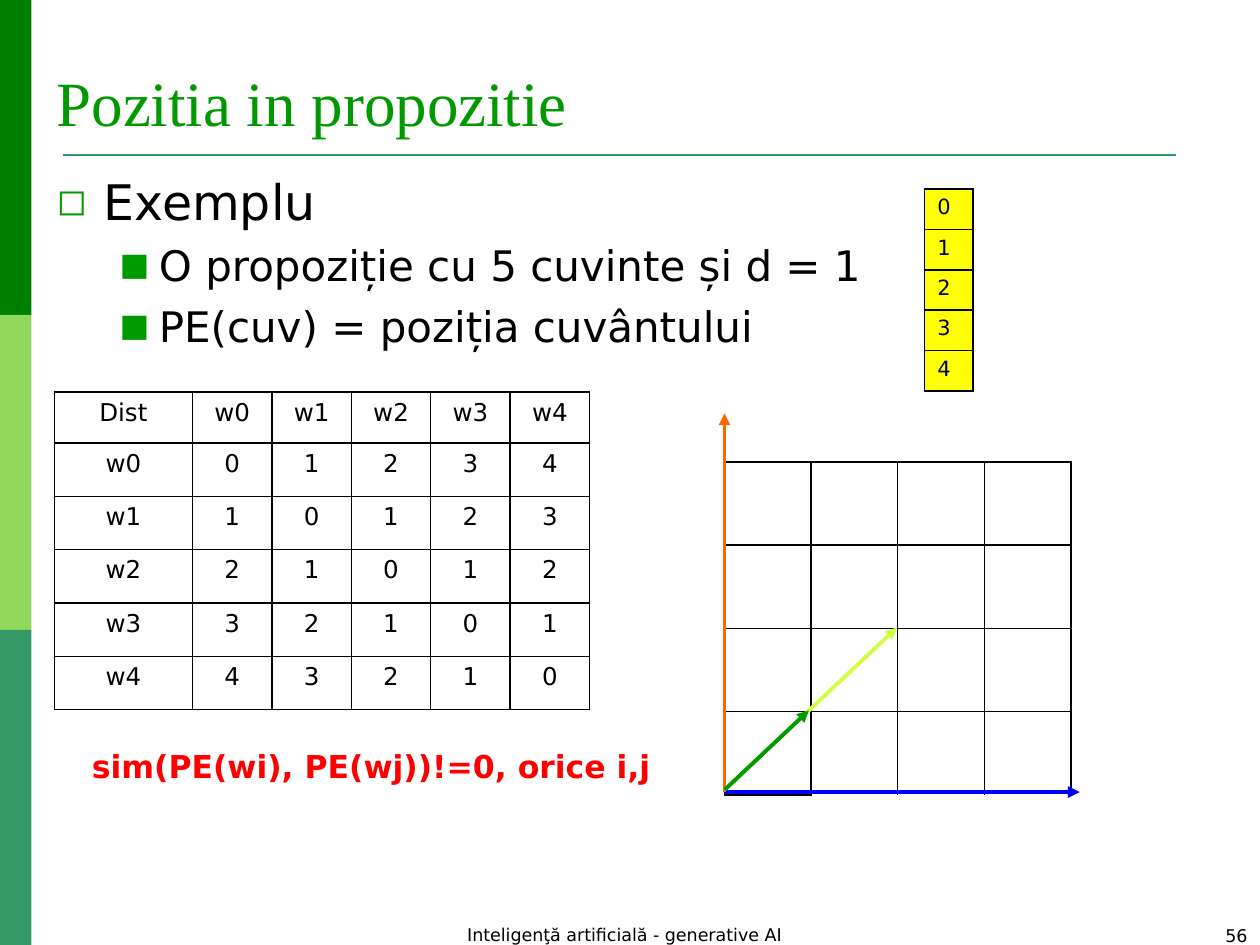
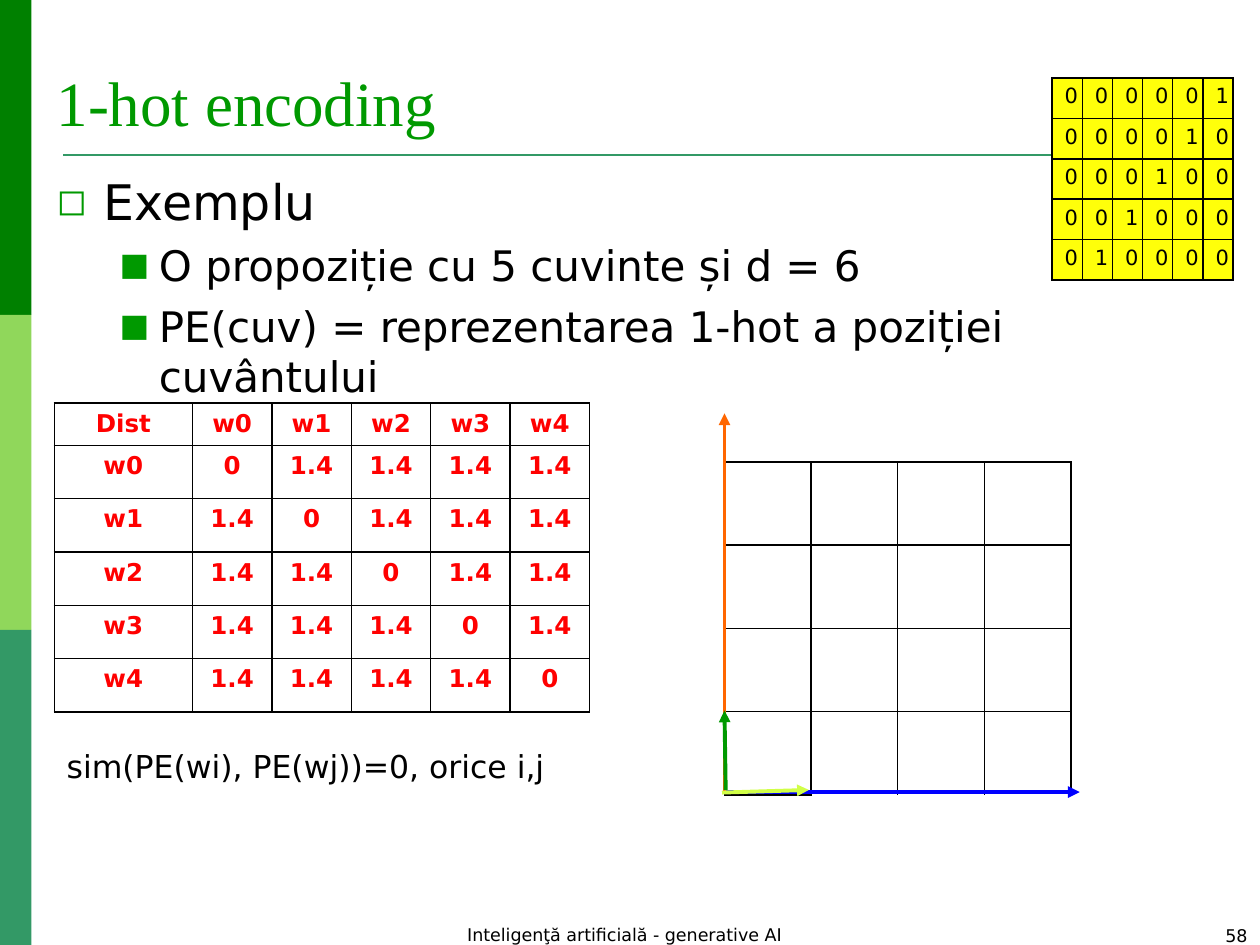
from dataclasses import dataclass
from typing import Any, Callable, Optional

from lxml.etree import SubElement
from pptx import Presentation
from pptx.dml.color import RGBColor
from pptx.enum.shapes import MSO_CONNECTOR, MSO_SHAPE
from pptx.enum.text import MSO_ANCHOR, PP_ALIGN
from pptx.oxml.ns import qn
from pptx.util import Pt

COLORS = {
    "dark_band": "008000",
    "light_band": "90D75B",
    "teal": "339966",
    "green": "009900",
    "lime": "D1FF47",
    "blue": "0000FF",
    "orange": "FF6600",
    "red": "FF0000",
    "yellow": "FFFF0A",
    "black": "000000",
}
BODY_FONT = "DejaVu Sans"
NO_STYLE = "{2D5ABB26-0587-4C30-8999-92F81FD0307C}"
FOOTER = "Inteligenţă artificială - generative AI"
WORDS = [f"w{number}" for number in range(5)]
SIDES = ("L", "R", "T", "B")


@dataclass
class TextStyle:
    size: float
    color: str = "black"
    name: str = BODY_FONT
    bold: bool = False
    align: PP_ALIGN = PP_ALIGN.LEFT


@dataclass
class Bullet:
    symbol: str
    size: float
    indent: float
    hanging: float
    space_before: float


@dataclass
class Box:
    left: float
    top: float
    width: float
    height: float

    def lengths(self) -> list[Pt]:
        return [Pt(value) for value in (self.left, self.top, self.width, self.height)]


@dataclass
class Line:
    start: tuple[float, float]
    end: tuple[float, float]
    color: str
    width: float = 2.25
    arrow: bool = True


@dataclass
class TableLayout:
    left: float
    top: float
    columns: list[float]
    rows: list[float]
    margins: dict[str, float]
    style: TextStyle
    fill: Optional[str] = None


@dataclass
class EncodingSlide:
    title: str
    number: str
    bullets: list[str]
    codes: list[list[str]]
    code_layout: TableLayout
    distances: list[list[str]]
    distance_layout: TableLayout
    vectors: list[Line]
    note: str
    note_box: Box
    note_style: TextStyle


TITLE_STYLE = TextStyle(36, "green", "Times New Roman")
CELL_STYLE = TextStyle(14, align=PP_ALIGN.CENTER)
RED_CELL_STYLE = TextStyle(14, "red", bold=True, align=PP_ALIGN.CENTER)
CODE_STYLE = TextStyle(12)
MAIN_BULLET = Bullet("◻", 28, 27, 27, 0)
SUB_BULLET = Bullet("■", 24, 58.5, 22.5, 5.6)
RULE = Line((36, 88.6), (672, 88.6), "teal", 1.5, False)
AXES = [
    Line((414, 452.6), (617, 452.6), "blue"),
    Line((414, 452.6), (414, 236.2), "orange"),
]
GRID = TableLayout(
    414, 264, [24.75] * 8, [23.8] * 8,
    dict.fromkeys(("margin_left", "margin_right", "margin_top", "margin_bottom"), 0),
    CODE_STYLE,
)


def rgb(name: str) -> RGBColor:
    return RGBColor.from_string(COLORS[name])


def add_span(para: Any, text: str, style: TextStyle) -> None:
    para.alignment = style.align
    span = para.add_run()
    span.text = text
    values = {"size": Pt(style.size), "name": style.name, "bold": style.bold}
    for attribute, value in values.items():
        setattr(span.font, attribute, value)
    span.font.color.rgb = rgb(style.color)


def add_text(page: Any, box: Box, text: str, style: TextStyle,
             anchor: MSO_ANCHOR = MSO_ANCHOR.TOP) -> None:
    frame = page.shapes.add_textbox(*box.lengths()).text_frame
    frame.word_wrap = True
    frame.vertical_anchor = anchor
    add_span(frame.paragraphs[0], text, style)


def add_bullets(page: Any, texts: list[str]) -> None:
    frame = page.shapes.add_textbox(*Box(25.2, 94.3, 680.4, 430.6).lengths()).text_frame
    frame.word_wrap = True
    for index, text in enumerate(texts):
        bullet = SUB_BULLET if index else MAIN_BULLET
        para = frame.add_paragraph() if index else frame.paragraphs[0]
        para.level = min(index, 1)
        properties = para._p.get_or_add_pPr()
        properties.set("marL", str(Pt(bullet.indent)))
        properties.set("indent", str(-Pt(bullet.hanging)))
        color = SubElement(properties, qn("a:buClr"))
        SubElement(color, qn("a:srgbClr"), val=COLORS["green"])
        SubElement(properties, qn("a:buSzPct"), val="75000")
        SubElement(properties, qn("a:buFont"), typeface=BODY_FONT)
        SubElement(properties, qn("a:buChar"), char=bullet.symbol)
        para.space_before = Pt(bullet.space_before)
        add_span(para, text, TextStyle(bullet.size))


def add_line(page: Any, line: Line) -> None:
    ends = [Pt(value) for value in line.start + line.end]
    connector = page.shapes.add_connector(MSO_CONNECTOR.STRAIGHT, *ends)
    connector.line.color.rgb = rgb(line.color)
    connector.line.width = Pt(line.width)
    properties = connector._element.spPr
    if line.arrow:
        SubElement(properties.find(qn("a:ln")), qn("a:tailEnd"), type="triangle")
    SubElement(properties, qn("a:effectLst"))


def set_borders(cell: Any, sides: str) -> None:
    properties = cell._tc.get_or_add_tcPr()
    for side in SIDES:
        border = SubElement(properties, qn(f"a:ln{side}"), w=str(Pt(1)))
        if side in sides:
            fill = SubElement(border, qn("a:solidFill"))
            SubElement(fill, qn("a:srgbClr"), val=COLORS["black"])
        else:
            SubElement(border, qn("a:noFill"))


def all_sides(row: int, column: int) -> str:
    return "LRTB"


def grid_sides(row: int, column: int) -> str:
    sides = "R" if column % 2 else "L"
    if row % 2 == 0:
        sides += "T"
    elif row < 7 or column < 2:
        sides += "B"
    return sides


def add_table(page: Any, layout: TableLayout, values: Optional[list[list[str]]] = None,
              sides: Callable[[int, int], str] = all_sides) -> None:
    box = Box(layout.left, layout.top, sum(layout.columns), sum(layout.rows))
    table = page.shapes.add_table(
        len(layout.rows), len(layout.columns), *box.lengths()).table
    table.first_row = table.horz_banding = False
    table._tbl.tblPr.find(qn("a:tableStyleId")).text = NO_STYLE
    for column, width in zip(table.columns, layout.columns):
        column.width = Pt(width)
    for row_index, height in enumerate(layout.rows):
        table.rows[row_index].height = Pt(height)
        for column_index in range(len(layout.columns)):
            cell = table.cell(row_index, column_index)
            for margin, value in layout.margins.items():
                setattr(cell, margin, Pt(value))
            set_borders(cell, sides(row_index, column_index))
            if layout.fill:
                cell.fill.solid()
                cell.fill.fore_color.rgb = rgb(layout.fill)
            else:
                cell.fill.background()
            if values:
                text = values[row_index][column_index]
                add_span(cell.text_frame.paragraphs[0], text, layout.style)


def distance_values(distance: Callable[[int, int], str]) -> list[list[str]]:
    rows = [[word] + [distance(row, column) for column in range(5)]
            for row, word in enumerate(WORDS)]
    return [["Dist"] + WORDS] + rows


def distance_layout(top: float, header: float, style: TextStyle) -> TableLayout:
    return TableLayout(31, top, [79] + [45.4] * 5, [header] + [30.5] * 5, {}, style)


def code_layout(left: float, top: float, columns: list[float]) -> TableLayout:
    return TableLayout(left, top, columns, [23.1] * 5, {"margin_right": 0},
                       CODE_STYLE, "yellow")


def add_frame(page: Any, title: str, number: str) -> None:
    for index, color in enumerate(("dark_band", "light_band", "teal")):
        band = page.shapes.add_shape(
            MSO_SHAPE.RECTANGLE, *Box(0, 180 * index, 18, 180).lengths())
        band.shadow.inherit = False
        band.fill.solid()
        band.fill.fore_color.rgb = rgb(color)
        band.line.fill.background()
    add_line(page, RULE)
    add_text(page, Box(25.2, 9.4, 680.4, 73.4), title, TITLE_STYLE, MSO_ANCHOR.BOTTOM)
    add_text(page, Box(110.2, 524.2, 493.2, 19.4), FOOTER,
             TextStyle(10, align=PP_ALIGN.CENTER))
    add_text(page, Box(552.2, 524.9, 167.8, 15.1), number,
             TextStyle(10, align=PP_ALIGN.RIGHT))


def add_encoding_slide(deck: Any, content: EncodingSlide) -> None:
    page = deck.slides.add_slide(deck.slide_layouts[6])
    add_frame(page, content.title, content.number)
    add_bullets(page, content.bullets)
    add_table(page, content.code_layout, content.codes)
    add_table(page, content.distance_layout, content.distances)
    add_table(page, GRID, sides=grid_sides)
    for line in AXES + content.vectors:
        add_line(page, line)
    add_text(page, content.note_box, content.note, content.note_style)


SLIDES = [
    EncodingSlide(
        "Pozitia in propozitie", "56",
        ["Exemplu", "O propoziție cu 5 cuvinte și d = 1",
         "PE(cuv) = poziția cuvântului"],
        [[str(position)] for position in range(5)],
        code_layout(528.4, 108, [27.6]),
        distance_values(lambda row, column: str(abs(row - column))),
        distance_layout(224, 29.2, CELL_STYLE),
        [Line((414, 451.4), (512.6, 358.6), "lime"),
         Line((414, 451.4), (462.2, 406), "green")],
        "sim(PE(wi), PE(wj))!=0, orice i,j",
        Box(45.4, 423.4, 348.5, 28.8), TextStyle(18, "red", bold=True),
    ),
    EncodingSlide(
        "1-hot encoding", "58",
        ["Exemplu", "O propoziție cu 5 cuvinte și d = 6",
         "PE(cuv) = reprezentarea 1-hot a poziției cuvântului"],
        [[str(int(row + column == 5)) for column in range(6)] for row in range(5)],
        code_layout(601.2, 44.6, [17.25] * 6),
        distance_values(lambda row, column: "0" if row == column else "1.4"),
        distance_layout(230.4, 23.5, RED_CELL_STYLE),
        [Line((412.6, 452.9), (462.2, 451.4), "lime"),
         Line((414.7, 451.4), (414, 406), "green")],
        "sim(PE(wi), PE(wj))=0, orice i,j",
        Box(31, 423.4, 351.4, 28.8), TextStyle(18),
    ),
]


def main() -> None:
    deck = Presentation()
    deck.slide_width, deck.slide_height = Pt(720), Pt(540)
    for content in SLIDES:
        add_encoding_slide(deck, content)
    deck.save("out.pptx")


if __name__ == "__main__":
    main()
